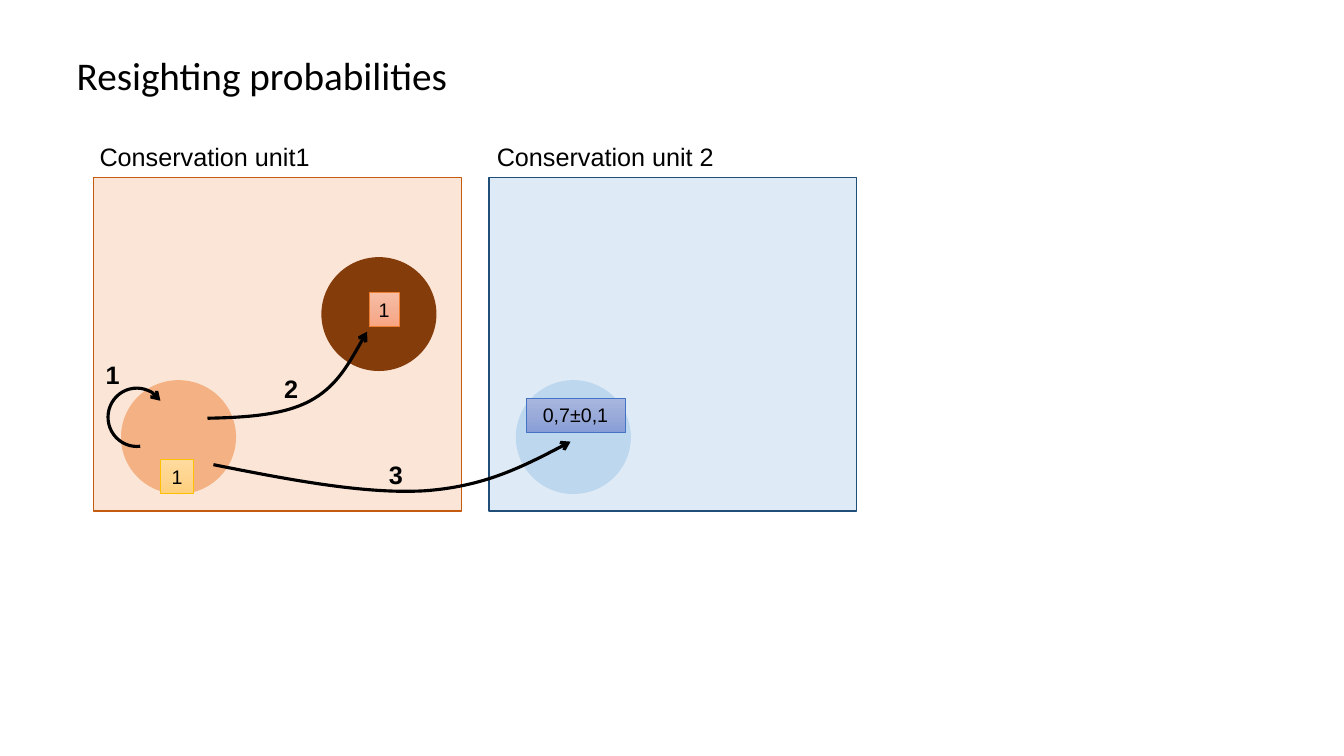
from copy import deepcopy

from lxml.etree import SubElement
from pptx import Presentation
from pptx.dml.color import RGBColor
from pptx.enum.shapes import MSO_SHAPE as Preset
from pptx.enum.text import MSO_ANCHOR as Anchor, PP_ALIGN as Align
from pptx.oxml.ns import qn
from pptx.util import Cm, Pt

COLOURS = {
    "text": "000000",
    "unit1": "FBE5D6", "unit1_edge": "C55A11",
    "unit2": "DEEBF7", "unit2_edge": "1F4E79",
    "home": "F4B183", "neighbour": "843C0B", "distant": "BDD7EE",
    "gold_edge": "FFC000", "orange_edge": "ED7D31", "blue_edge": "4472C4",
}
GRADIENTS = {
    "gold": ("FFDB9E", "FFD590", "FFD07C"),
    "orange": ("F7BDA5", "F5B196", "F8A582"),
    "blue": ("A8B7DF", "9AABD9", "889ED7"),
}
TITLE = {"name": "Calibri", "size": Pt(28), "bold": False}
HEADING = {"name": "Arial", "size": Pt(18), "bold": False}
STEP = HEADING | {"bold": True}
VALUE = HEADING | {"size": Pt(14)}


def colour(name):
    return RGBColor.from_string(COLOURS[name])


def write(frame, text, style, align=Align.LEFT, anchor=Anchor.TOP, wrap=True):
    frame.text = text
    frame.word_wrap = wrap
    frame.vertical_anchor = anchor
    paragraph = frame.paragraphs[0]
    paragraph.alignment = align
    font = paragraph.runs[0].font
    for attribute, setting in style.items():
        setattr(font, attribute, setting)
    font.color.rgb = colour("text")


def add_title(slide, text):
    title = slide.shapes.title
    place = {"left": 1.68, "top": 1.17, "width": 24.71, "height": 1.45}
    for side, length in place.items():
        setattr(title, side, Cm(length))
    write(title.text_frame, text, TITLE, anchor=Anchor.MIDDLE)


def add_label(slide, box, text, style):
    label = slide.shapes.add_textbox(*map(Cm, box))
    write(label.text_frame, text, style)


def add_area(slide, preset, box, fill, edge=None):
    area = slide.shapes.add_shape(preset, *map(Cm, box))
    area.shadow.inherit = False
    area.fill.solid()
    area.fill.fore_color.rgb = colour(fill)
    if edge:
        area.line.color.rgb = colour(edge)
        area.line.width = Pt(1)
    else:
        area.line.fill.background()


def add_value(slide, box, text, shade):
    """Add a boxed probability with a three-stop vertical gradient."""
    value = slide.shapes.add_shape(Preset.RECTANGLE, *map(Cm, box))
    value.shadow.inherit = False
    value.fill.gradient()
    value.fill.gradient_angle = 270
    stop_list = value.fill._xPr.find(qn("a:gradFill")).find(qn("a:gsLst"))
    stop_list.insert(1, deepcopy(stop_list[0]))
    for index, stop in enumerate(value.fill.gradient_stops):
        stop.position = index / 2
        stop.color.rgb = RGBColor.from_string(GRADIENTS[shade][index])
    value.line.color.rgb = colour(f"{shade}_edge")
    value.line.width = Pt(0.5)
    write(value.text_frame, text, VALUE, Align.CENTER, Anchor.MIDDLE, wrap=False)


def style_arrow(arrow):
    arrow.shadow.inherit = False
    arrow.fill.background()
    arrow.line.color.rgb = colour("text")
    arrow.line.width = Pt(2.25)
    SubElement(arrow.line._get_or_add_ln(), qn("a:tailEnd"), type="arrow")


def add_loop(slide, box):
    loop = slide.shapes.add_shape(Preset.ARC, *map(Cm, box))
    loop.adjustments[0] = 162
    loop.adjustments[1] = 91.01
    loop.rotation = 173.3
    style_arrow(loop)


def add_curve(slide, points):
    """Draw a start point and triples of Bézier points as one arrow."""
    start, *rest = [(Cm(x), Cm(y)) for x, y in points]
    builder = slide.shapes.build_freeform(*start)
    builder.add_line_segments(rest, close=False)
    curve = builder.convert_to_shape()
    outline = next(curve._element.iter(qn("a:path")))
    segments = outline.findall(qn("a:lnTo"))
    for first in range(0, len(segments), 3):
        bezier = SubElement(outline, qn("a:cubicBezTo"))
        for segment in segments[first:first + 3]:
            bezier.append(segment[0])
            outline.remove(segment)
    style_arrow(curve)


def main():
    deck = Presentation()
    deck.slide_width, deck.slide_height = Cm(33.87), Cm(19.05)
    slide = deck.slides.add_slide(deck.slide_layouts[5])
    add_title(slide, "Resighting probabilities")

    for left, unit, heading_left, heading in (
        (2.36, "unit1", 2.26, "Conservation unit1"),
        (12.32, "unit2", 12.27, "Conservation unit 2"),
    ):
        add_area(slide, Preset.RECTANGLE, (left, 4.47, 9.27, 8.41), unit, f"{unit}_edge")
        add_label(slide, (heading_left, 3.43, 8.03, 1.02), heading, HEADING)

    for left, top, site in (
        (3.05, 9.58, "home"), (8.1, 6.48, "neighbour"), (13, 9.58, "distant"),
    ):
        add_area(slide, Preset.OVAL, (left, top, 2.9, 2.87), site)

    for left, top, step in ((2.41, 8.94, "1"), (6.91, 9.27, "2"), (9.55, 11.46, "3")):
        add_label(slide, (left, top, 1.02, 1.04), step, STEP)

    add_loop(slide, (2.72, 9.78, 1.45, 1.47))
    add_curve(slide, [(5.23, 10.54), (6.2, 10.52), (7.14, 10.46), (7.8, 10.11),
                      (8.48, 9.75), (8.86, 9.04), (9.25, 8.36)])
    add_curve(slide, [(5.38, 11.71), (7.29, 12.09), (9.17, 12.45), (10.67, 12.37),
                      (12.17, 12.27), (13.28, 11.71), (14.38, 11.13)])

    for left, top, width, probability, shade in (
        (4.04, 11.58, 0.84, "1", "gold"),
        (9.3, 7.37, 0.76, "1", "orange"),
        (13.26, 10.03, 2.49, "0,7±0,1", "blue"),
    ):
        add_value(slide, (left, top, width, 0.86), probability, shade)

    deck.save("out.pptx")


if __name__ == "__main__":
    main()
